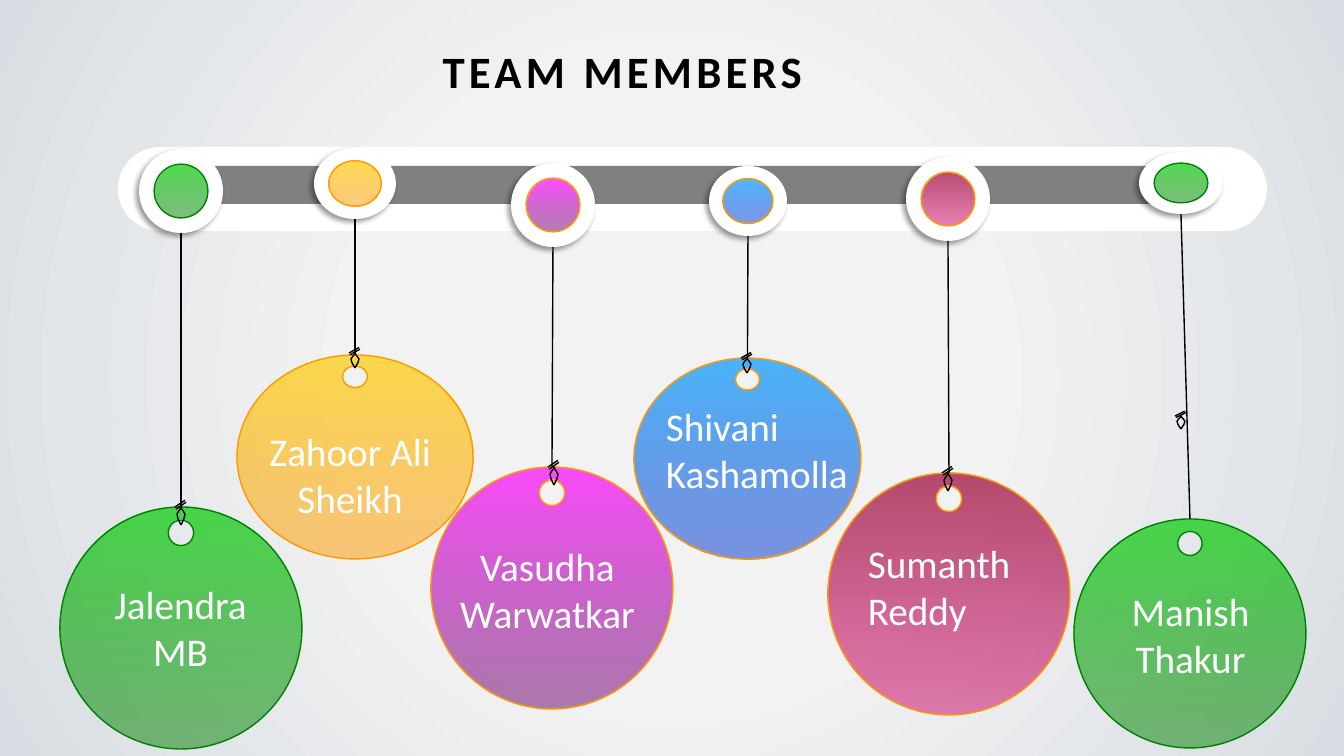
from lxml.etree import SubElement
from pptx import Presentation
from pptx.dml.color import RGBColor
from pptx.enum.shapes import MSO_CONNECTOR, MSO_SHAPE
from pptx.enum.text import MSO_ANCHOR, PP_ALIGN
from pptx.oxml.ns import qn
from pptx.util import Emu, Pt

TITLE = "TEAM MEMBERS"
COLORS = {
    "white": "FFFFFF", "black": "000000", "bar": "808080",
    "bg_in": "F2F2F2", "bg_out": "D8DDE3",
    "green": "00CC00", "green_end": "008000",
    "yellow": "FFCC00", "yellow_end": "FF9900",
    "magenta": "FF00FF", "magenta_end": "660066",
    "blue": "0099FF", "blue_end": "0033CC",
    "red": "990033", "red_end": "CC0066",
}
CENTER, JUSTIFY = PP_ALIGN.CENTER, PP_ALIGN.JUSTIFY
MEMBERS = [
    {"name": ["Jalendra MB"], "color": "green", "edge": "green_end", "align": CENTER,
     "ring": (139, 149, 84, 84), "disc": (60, 507, 242, 242),
     "knot": (181, 507, 18), "label": (79, 575, 203, 105)},
    {"name": ["Zahoor Ali Sheikh"], "color": "yellow", "edge": "yellow_end", "align": CENTER,
     "ring": (314, 148, 82, 71), "disc": (237, 355, 236, 204),
     "knot": (355, 353, 15), "label": (251, 422, 198, 113)},
    {"name": ["Vasudha Warwatkar"], "color": "magenta", "edge": "yellow_end", "align": CENTER,
     "ring": (511, 163, 84, 84), "disc": (431, 467, 242, 242),
     "knot": (554, 467, 18), "label": (446, 537, 203, 105)},
    {"name": ["Shivani Kashamolla"], "color": "blue", "edge": "yellow_end", "align": JUSTIFY,
     "ring": (709, 166, 78, 70), "disc": (634, 358, 227, 201),
     "knot": (747, 358, 15), "label": (656, 397, 203, 105)},
    {"name": ["Sumanth", "Reddy"], "color": "red", "edge": "yellow_end", "align": JUSTIFY,
     "ring": (906, 157, 84, 84), "disc": (828, 473, 242, 242),
     "knot": (948, 473, 18), "label": (858, 534, 215, 105)},
    {"name": ["Manish Thakur"], "color": "green", "edge": "green_end", "align": CENTER,
     "ring": (1139, 152, 84, 62), "disc": (1074, 519, 232, 229),
     "knot": (1181, 416, 13), "label": (1089, 582, 203, 105)},
]
BARS = [((118, 147, 1149, 84), "white"), ((144, 166, 1077, 38), "bar")]
LOOP = [(1, 0), (-2, 0.2), (-4, 0.4), (-3, 0.65), (0, 1)]
TICKS = [((-5, 0.12), (5, -0.26)), ((-6, 0), (4, -0.37))]
DOT_RATIO, HOLE_RATIO, HOLE_DROP = 0.64, 0.105, 0.107
QUARTER = 5400000
SCALE = 914400 / 100.8


def px(v):
    return Emu(round(v * SCALE))


def rgb(key):
    return RGBColor.from_string(COLORS[key])


def set_gradient(fill, element, stops, path=False):
    fill.gradient()
    grad = element.find(".//" + qn("a:gradFill"))
    for child in list(grad):
        grad.remove(child)
    stop_list = SubElement(grad, qn("a:gsLst"))
    for pos, key, alpha in stops:
        stop = SubElement(stop_list, qn("a:gs"), pos=str(pos * 1000))
        color = SubElement(stop, qn("a:srgbClr"), val=COLORS[key])
        SubElement(color, qn("a:alpha"), val=str(alpha * 1000))
    if path:
        shade = SubElement(grad, qn("a:path"), path="circle")
        SubElement(shade, qn("a:fillToRect"), dict.fromkeys("ltrb", "50000"))
    else:
        SubElement(grad, qn("a:lin"), ang=str(QUARTER), scaled="0")


def add_plain(kind, box, key):
    sp = s.shapes.add_shape(kind, *map(px, box))
    sp.shadow.inherit = False
    sp.fill.solid()
    sp.fill.fore_color.rgb = rgb(key)
    sp.line.fill.background()
    return sp


def set_line(sp, key):
    sp.line.color.rgb = rgb(key)
    sp.line.width = Pt(1)


def set_member_style(sp, member):
    key = member["color"]
    sp.shadow.inherit = False
    set_gradient(sp.fill, sp._element, [(0, key, 70), (100, key + "_end", 50)])
    set_line(sp, member["edge"])


def add_line(start, end):
    line = s.shapes.add_connector(MSO_CONNECTOR.STRAIGHT, *map(px, start + end))
    set_line(line, "black")
    SubElement(line._element.spPr, qn("a:effectLst"))


def oval_corners(cx, cy, w, h, turn):
    steps = [(1, 0), (0, turn), (-1, 0), (0, -turn), (1, 0)]
    return [(px(cx + w / 2 * dx), px(cy + h / 2 * dy)) for dx, dy in steps]


def round_corners(sp, ovals):
    corners = list(sp._element.iter(qn("a:lnTo")))
    for i, corner in enumerate(corners):
        w, h, turn = ovals[i // 4]
        arc = SubElement(corner.getparent(), qn("a:arcTo"), wR=str(px(w / 2)),
                         hR=str(px(h / 2)), stAng=str(turn * (i % 4) * QUARTER % (4 * QUARTER)),
                         swAng=str(turn * QUARTER))
        corner.getparent().replace(corner, arc)


def add_disc(member):
    x, y, w, h = member["disc"]
    cx = x + w / 2
    hole_w, hole_h = w * HOLE_RATIO, h * HOLE_RATIO
    outer = oval_corners(cx, y + h / 2, w, h, 1)
    hole = oval_corners(cx, y + h * HOLE_DROP, hole_w, hole_h, -1)
    builder = s.shapes.build_freeform(*outer[0])
    builder.add_line_segments(outer[1:])
    builder.move_to(*hole[0])
    builder.add_line_segments(hole[1:])
    sp = builder.convert_to_shape()
    round_corners(sp, [(w, h, 1), (hole_w, hole_h, -1)])
    set_member_style(sp, member)


def add_knot(x, y, h):
    for side in (1, -1):
        points = [(px(x + side * dx), px(y + dy * h)) for dx, dy in LOOP]
        builder = s.shapes.build_freeform(*points[0])
        builder.add_line_segments(points[1:], close=False)
        sp = builder.convert_to_shape()
        sp.shadow.inherit = False
        sp.fill.background()
        set_line(sp, "black")
    for tick in TICKS:
        add_line(*[(x + dx, y + dy * h) for dx, dy in tick])


def add_ring(member):
    x, y, w, h = member["ring"]
    ring = add_plain(MSO_SHAPE.OVAL, member["ring"], "white")
    effects = ring._element.spPr.find(qn("a:effectLst"))
    shadow = SubElement(effects, qn("a:outerShdw"), blurRad=str(Pt(4)), dist=str(Pt(3)),
                        dir="8100000", algn="tr", rotWithShape="0")
    color = SubElement(shadow, qn("a:srgbClr"), val=COLORS["black"])
    SubElement(color, qn("a:alpha"), val="40000")
    dw, dh = w * DOT_RATIO, h * DOT_RATIO
    box = (x + (w - dw) / 2, y + (h - dh) / 2, dw, dh)
    dot = s.shapes.add_shape(MSO_SHAPE.OVAL, *map(px, box))
    set_member_style(dot, member)


def write(tf, lines, align, key, **font):
    tf.word_wrap = True
    tf.vertical_anchor = MSO_ANCHOR.TOP
    for i, text in enumerate(lines):
        p = tf.add_paragraph() if i else tf.paragraphs[0]
        p.alignment = align
        r = p.add_run()
        r.text = text
        r.font.color.rgb = rgb(key)
        for name, value in font.items():
            setattr(r.font, name, value)


prs = Presentation()
prs.slide_width, prs.slide_height = px(1344), px(756)
s = prs.slides.add_slide(prs.slide_layouts[5])
set_gradient(s.background.fill, s._element,
             [(41, "bg_in", 100), (100, "bg_out", 100)], path=True)

title = s.shapes.title
title.left, title.top, title.width, title.height = map(px, (162, 39, 921, 65))
write(title.text_frame, [TITLE], CENTER, "black", name="Calibri", size=Pt(32), bold=True)
title.text_frame.paragraphs[0].runs[0].font._element.set("spc", "300")

for box, key in BARS:
    add_plain(MSO_SHAPE.ROUNDED_RECTANGLE, box, key).adjustments[0] = 0.5

for member in MEMBERS:
    rx, ry, rw, rh = member["ring"]
    dx, dy, dw, dh = member["disc"]
    add_disc(member)
    add_ring(member)
    add_line((rx + rw / 2, ry + rh), (dx + dw / 2, dy))
    add_knot(*member["knot"])
    label = s.shapes.add_textbox(*map(px, member["label"]))
    write(label.text_frame, member["name"], member["align"], "white",
          name="Calibri", size=Pt(28))

prs.save("out.pptx")
